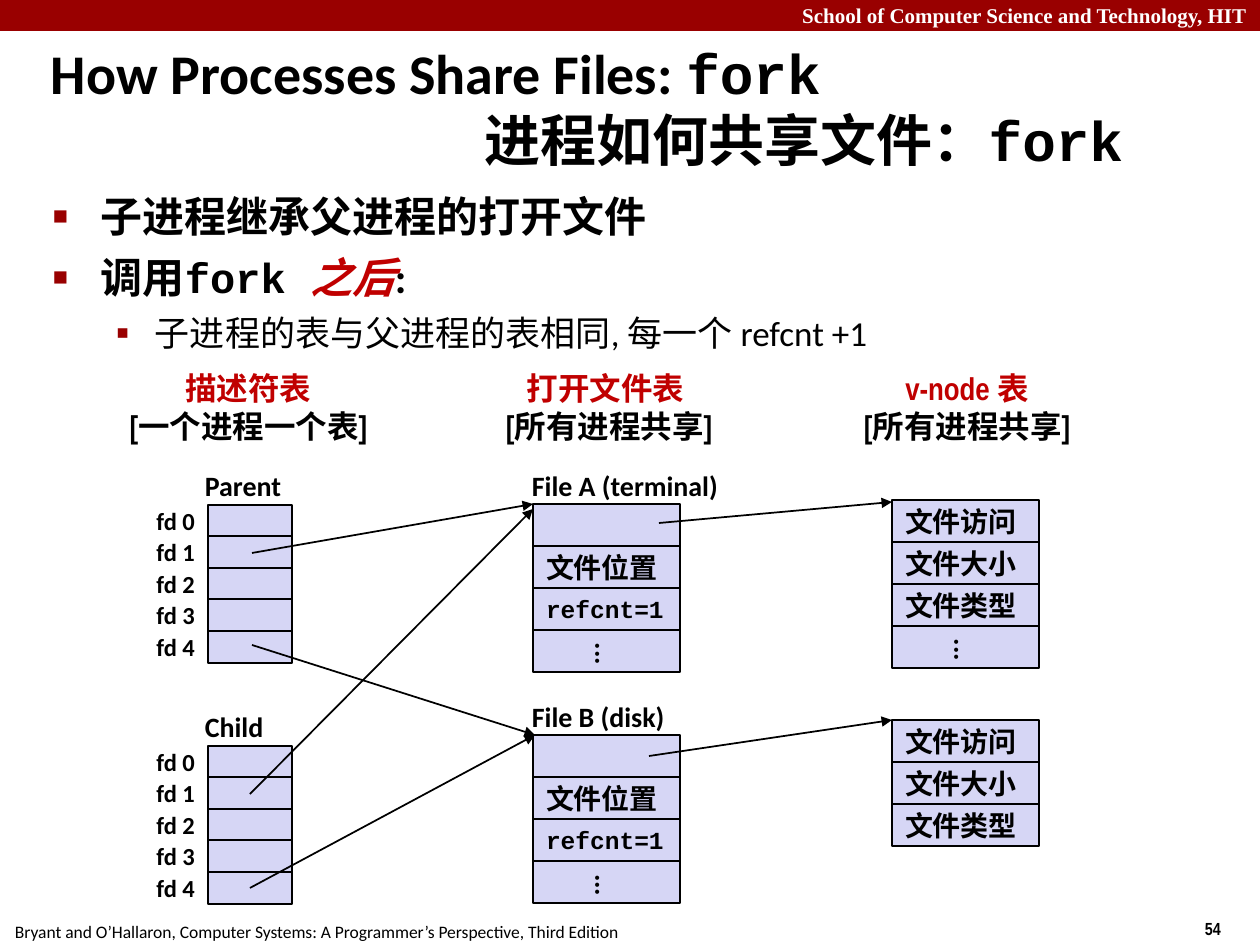
from lxml.etree import SubElement
from pptx import Presentation
from pptx.dml.color import RGBColor
from pptx.enum.shapes import MSO_CONNECTOR, MSO_SHAPE
from pptx.enum.text import MSO_ANCHOR, MSO_AUTO_SIZE, PP_ALIGN
from pptx.oxml.ns import qn
from pptx.util import Emu, Pt

BLACK, WHITE, RED, BAR, FILL = "000000", "FFFFFF", "C00000", "990000", "D6D6F5"
MONO, NARROW = "Courier New", "Arial Narrow"
LEFT, MID, RIGHT = PP_ALIGN.LEFT, PP_ALIGN.CENTER, PP_ALIGN.RIGHT


def px(n):
    return Emu(round(n * 914400 / 126))


def color(code):
    return RGBColor.from_string(code)


def style(font, size=16, face="Calibri", ink=BLACK, bold=True, slant=False):
    font.size, font.name = Pt(size), face
    font.bold, font.italic = bold, slant
    font.color.rgb = color(ink)


def write(frame, *lines, align=LEFT, anchor=MSO_ANCHOR.MIDDLE, wrap=False,
          pad=(13, 6), **base):
    """Each line is a string or a list of (text, format changes) runs."""
    frame.auto_size = MSO_AUTO_SIZE.NONE
    frame.word_wrap, frame.vertical_anchor = wrap, anchor
    frame.margin_left = frame.margin_right = px(pad[0])
    frame.margin_top = frame.margin_bottom = px(pad[1])
    for i, line in enumerate(lines):
        para = frame.add_paragraph() if i else frame.paragraphs[0]
        para.alignment = align
        for text, extra in [(line, {})] if isinstance(line, str) else line:
            run = para.add_run()
            run.text = text
            style(run.font, **{**base, **extra})
    return frame.paragraphs


def indent(para, left, first=0):
    props = para._p.get_or_add_pPr()
    props.set("marL", str(px(left)))
    props.set("indent", str(px(first)))
    return props


def bullet(para, mark, scale, left, first, gap):
    props = indent(para, left, first)
    para.space_before = Pt(gap)
    tint = SubElement(props, qn("a:buClr"))
    SubElement(tint, qn("a:srgbClr"), val=BAR)
    SubElement(props, qn("a:buSzPct"), val=str(scale * 1000))
    SubElement(props, qn("a:buFont"), typeface="Arial")
    SubElement(props, qn("a:buChar"), char=mark)


class Deck:
    def __init__(self):
        self.show = Presentation()
        self.show.slide_width, self.show.slide_height = px(1260), px(945)
        self.slide = self.show.slides.add_slide(self.show.slide_layouts[5])
        self.shapes = self.slide.shapes

    def title(self, x, y, w, h, *lines, **fmt):
        box = self.shapes.title
        box.left, box.top, box.width, box.height = map(px, (x, y, w, h))
        return write(box.text_frame, *lines, wrap=True, **fmt)

    def label(self, x, y, w, h, *lines, **fmt):
        box = self.shapes.add_textbox(*map(px, (x, y, w, h)))
        return write(box.text_frame, *lines, **fmt)

    def rect(self, x, y, w, h, fill=FILL, line=BLACK):
        box = self.shapes.add_shape(MSO_SHAPE.RECTANGLE, *map(px, (x, y, w, h)))
        box.shadow.inherit = False
        box.fill.solid()
        box.fill.fore_color.rgb = color(fill)
        if line:
            box.line.color.rgb = color(line)
            box.line.width = Pt(1)
        else:
            box.line.fill.background()
        return box

    def process(self, name, top):
        """A process name above its column of five descriptors."""
        self.label(192, top - 43, 102, 47, name)
        for i in range(5):
            y = top + i * 63 // 2
            self.rect(208, y, 84, 32)
            self.label(124, y, 84, 32, f"fd {i}", size=14, align=RIGHT)

    def stack(self, x, top, cells):
        for i, text in enumerate(cells):
            box = self.rect(x, top + 42 * i, 147, 42)
            if text == "...":
                write(box.text_frame, text, pad=(6, 13))
                box.text_frame._txBody.bodyPr.set("vert", "eaVert")
            elif text.startswith("refcnt"):
                write(box.text_frame, text, size=14, face=MONO)
            elif text:
                write(box.text_frame, text)

    def arrow(self, *ends):
        link = self.shapes.add_connector(MSO_CONNECTOR.STRAIGHT, *map(px, ends))
        link.line.color.rgb = color(BLACK)
        link.line.width = Pt(1)
        SubElement(link.line._get_or_add_ln(), qn("a:tailEnd"), type="triangle")
        SubElement(link._element.spPr, qn("a:effectLst"))


def main():
    deck = Deck()
    deck.rect(0, 0, 1260, 31, fill=BAR, line=None)
    deck.label(0, -4, 1260, 38, "School of Computer Science and Technology, HIT",
               size=12, face="Times New Roman", ink=WHITE, align=RIGHT, wrap=True)
    deck.label(2, 914, 632, 34, "Bryant and O’Hallaron, Computer Systems: "
               "A Programmer’s Perspective, Third Edition", size=10, bold=False)
    deck.label(1192, 911, 60, 34, "54", size=10, face=NARROW)

    mono = {"face": MONO}
    head = deck.title(38, 53, 1147, 105,
                      [("How Processes Share Files: ", {}), ("fork", mono)],
                      [("进程如何共享文件：fork", mono)], size=32)
    for para, left in zip(head, (0, 433)):
        para.space_before = Pt(0)
        indent(para, left)

    points = deck.label(
        40, 185, 1145, 179,
        "子进程继承父进程的打开文件",
        [("调用", {}), ("fork ", mono), ("之后", {"ink": RED, "slant": True}), (":", {})],
        [("子进程的表与父进程的表相同, 每一个 refcnt +1", {"size": 20, "bold": False})],
        size=24, anchor=MSO_ANCHOR.TOP, wrap=True)
    for para in points[:2]:
        bullet(para, "■", 60, 48, -48, 6)
    points[2].level = 1
    bullet(points[2], "▪", 110, 102, -39, 5)

    for x, w, name, note in ((110, 277, "描述符表", "[一个进程一个表]"),
                             (486, 246, "打开文件表 ", "[所有进程共享]"),
                             (844, 246, "v-node 表", "[所有进程共享]")):
        deck.label(x, 363, w, 88, [(name, {"ink": RED})], note,
                   size=18, face=NARROW, align=MID)

    deck.process("Parent", 505)
    deck.process("Child", 746)
    for name, top in (("File A (terminal)", 504), ("File B (disk)", 735)):
        deck.label(519, top - 42, 212, 47, name)
        deck.stack(533, top, ("", "文件位置", "refcnt=1", "..."))
    facts = ("文件访问", "文件大小", "文件类型")
    deck.stack(892, 500, facts + ("...",))
    deck.stack(892, 720, facts)

    for ends in ((252, 553, 533, 504), (252, 645, 535, 735),
                 (250, 794, 533, 509), (250, 888, 535, 735),
                 (659, 523, 892, 502), (649, 756, 892, 720)):
        deck.arrow(*ends)
    deck.show.save("out.pptx")


if __name__ == "__main__":
    main()
